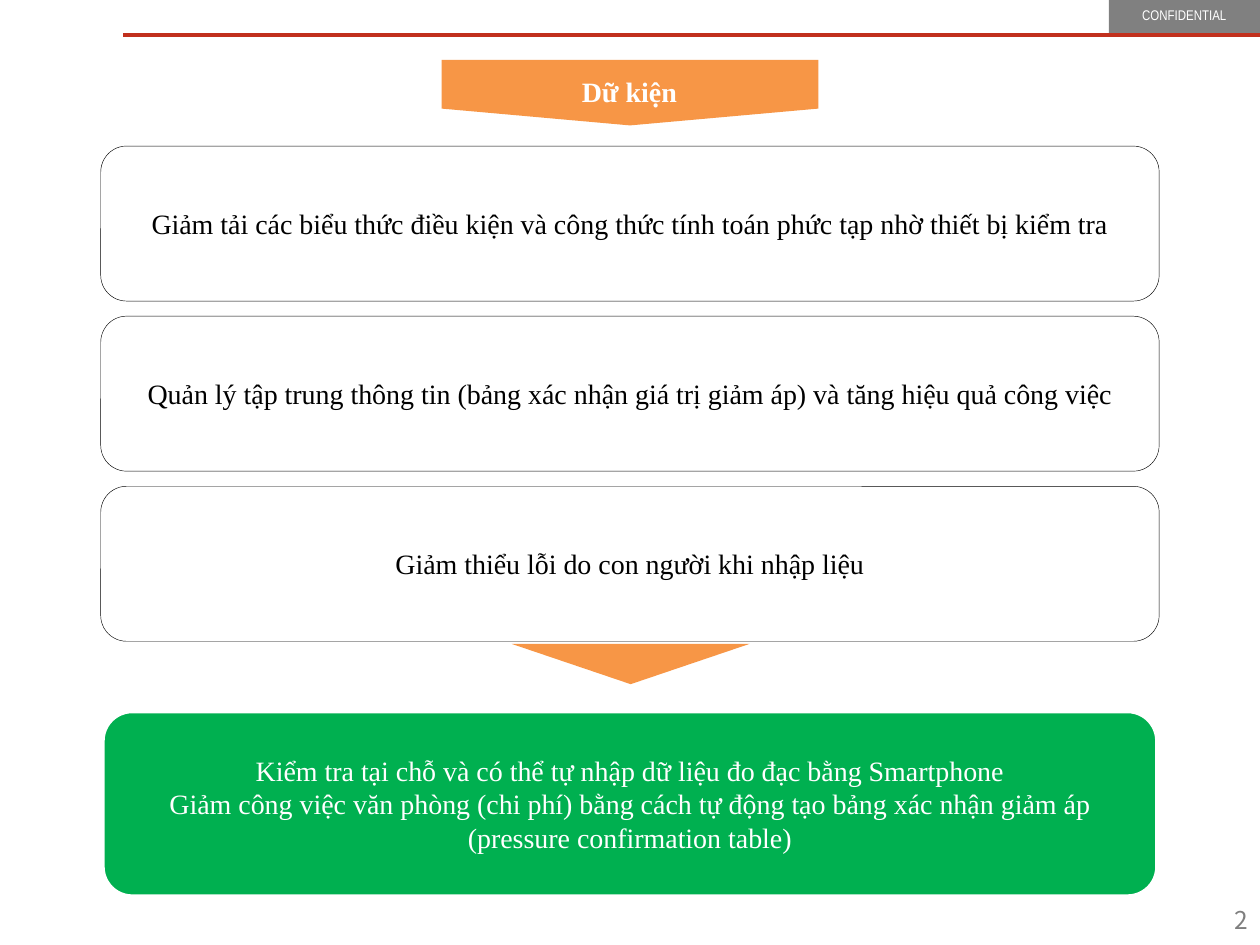
from dataclasses import dataclass
from lxml import etree
from pptx import Presentation
from pptx.dml.color import RGBColor
from pptx.enum.shapes import MSO_CONNECTOR, MSO_SHAPE
from pptx.enum.text import MSO_ANCHOR, PP_ALIGN
from pptx.oxml.ns import qn
from pptx.util import Inches, Pt


@dataclass(frozen=True)
class Theme:
    white: str = "FFFFFF"
    black: str = "000000"
    grey: str = "808080"
    page: str = "7F7F7F"
    red: str = "C1301D"
    orange: str = "F79646"
    green: str = "00B050"
    serif: str = "Times New Roman"
    narrow: str = "Arial Narrow"
    sans: str = "Noto Sans CJK JP"
    body: int = 16
    number: int = 14
    tag: int = 8


theme = Theme()


def draw(parent, kind, box, fill, line=None, width=0):
    shape = parent.add_shape(kind, *map(Inches, box))
    shape.shadow.inherit = False
    shape.fill.solid()
    shape.fill.fore_color.rgb = RGBColor.from_string(fill)
    if line:
        shape.line.color.rgb = RGBColor.from_string(line)
        shape.line.width = Pt(width)
    else:
        shape.line.fill.background()
    return shape


def write(shape, lines, color, font=theme.serif, size=theme.body,
          align=PP_ALIGN.CENTER, anchor=MSO_ANCHOR.MIDDLE, bold=False):
    frame = shape.text_frame
    frame.word_wrap = True
    frame.vertical_anchor = anchor
    frame.text = "\n".join(lines)
    for para in frame.paragraphs:
        para.alignment = align
        para.font.name = font
        para.font.size = Pt(size)
        para.font.bold = bold
        para.font.color.rgb = RGBColor.from_string(color)


deck = Presentation()
deck.slide_width, deck.slide_height = Inches(10), Inches(7.5)
slide = deck.slides.add_slide(deck.slide_layouts[6])
shapes = slide.shapes

# Header tag and rule
tag = draw(shapes, MSO_SHAPE.RECTANGLE, (8.8, 0, 1.2, 0.28), theme.grey)
write(tag, ["CONFIDENTIAL"], theme.white, theme.narrow, theme.tag,
      anchor=MSO_ANCHOR.TOP)
rule = shapes.add_connector(MSO_CONNECTOR.STRAIGHT, Inches(0.98), Inches(0.28),
                            Inches(10), Inches(0.28))
rule.line.color.rgb = RGBColor.from_string(theme.red)
rule.line.width = Pt(2.25)
etree.SubElement(rule.element.spPr, qn("a:effectLst"))

# Page number
number = shapes.add_textbox(Inches(8.05), Inches(7.1), Inches(1.95), Inches(0.4))
write(number, ["2"], theme.page, theme.sans, theme.number, PP_ALIGN.RIGHT)

# Title banner
banner = shapes.add_group_shape().shapes
flag = draw(banner, MSO_SHAPE.PENTAGON, (4.74, -0.76, 0.52, 2.99), theme.orange)
flag.rotation = 90
flag.adjustments[0] = 0.256
title = banner.add_textbox(Inches(3.5), Inches(0.54), Inches(2.99), Inches(0.37))
write(title, ["Dữ kiện"], theme.white, anchor=MSO_ANCHOR.TOP, bold=True)

# Fact cards
facts = [
    "Giảm tải các biểu thức điều kiện và công thức tính toán phức tạp nhờ thiết bị kiểm tra",
    "Quản lý tập trung thông tin (bảng xác nhận giá trị giảm áp) và tăng hiệu quả công việc",
    "Giảm thiểu lỗi do con người khi nhập liệu",
]
for row, fact in enumerate(facts):
    card = draw(shapes, MSO_SHAPE.ROUNDED_RECTANGLE,
                (0.8, 1.16 + 1.35 * row, 8.4, 1.23),
                theme.white, theme.black, 0.25)
    write(card, [fact], theme.black)

# Result
result = draw(shapes, MSO_SHAPE.ROUNDED_RECTANGLE, (0.8, 5.63, 8.4, 1.5),
              theme.green, theme.white, 4.5)
write(result, [
    "Kiểm tra tại chỗ và có thể tự nhập dữ liệu đo đạc bằng Smartphone",
    "Giảm công việc văn phòng (chi phí) bằng cách tự động tạo bảng xác nhận "
    "giảm áp (pressure confirmation table)",
], theme.white)

# Pointer from facts to result
arrow = draw(shapes, MSO_SHAPE.ISOSCELES_TRIANGLE, (4.06, 5.11, 1.89, 0.32),
             theme.orange)
arrow.rotation = 180

deck.save("out.pptx")
